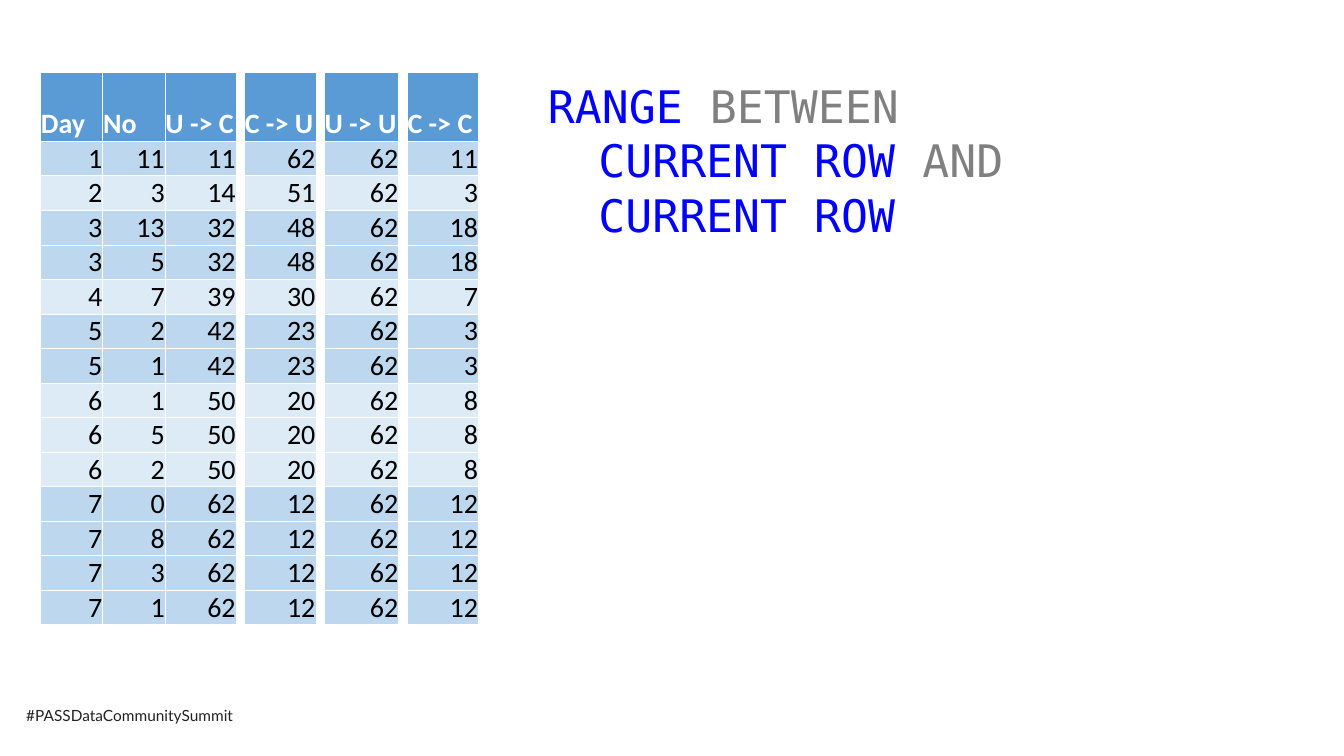
"""Build a slide comparing running totals for the RANGE window frames."""

from dataclasses import dataclass

from pptx import Presentation
from pptx import util as u
from pptx.dml.color import RGBColor
from pptx.enum import text
from pptx.oxml import parse_xml
from pptx.oxml.ns import nsdecls


@dataclass(frozen=True)
class Theme:
    header: str = "5B9BD5"
    odd_day: str = "BDD7EE"
    even_day: str = "DDEBF7"
    white: str = "FFFFFF"
    black: str = "000000"
    keyword: str = "0000FF"
    operator: str = "808080"
    hashtag: str = "222222"
    table_font: str = "Calibri"
    code_font: str = "DejaVu Sans Mono"
    hashtag_font: str = "Lato"
    table_size: int = 20
    code_size: int = 32
    code_line: int = 39
    hashtag_size: int = 11


@dataclass(frozen=True)
class Column:
    title: str
    width: float
    values: list[int]


@dataclass(frozen=True)
class Style:
    font: str
    size: int
    color: str
    bold: bool = False


THEME = Theme()
LEFT, TOP, GAP = 1.02, 1.83, 0.21
HEADER_HEIGHT, ROW_HEIGHT = 1.73, 0.87
CELL_MARGIN = 0.01

DAYS = [1, 2, 3, 3, 4, 5, 5, 6, 6, 6, 7, 7, 7, 7]
NUMBERS = [11, 3, 13, 5, 7, 2, 1, 1, 5, 2, 0, 8, 3, 1]

CODE_LINES = [
    [("RANGE ", THEME.keyword), ("BETWEEN", THEME.operator)],
    [("\t", THEME.black), ("CURRENT ROW ", THEME.keyword), ("AND", THEME.operator)],
    [("\t", THEME.black), ("CURRENT ROW", THEME.keyword)],
]


def range_sums(from_start: bool, to_end: bool) -> list[int]:
    """Sum the numbers over each row's frame, treating equal days as peers."""
    return [
        sum(
            number
            for day, number in zip(DAYS, NUMBERS)
            if (from_start or day >= current) and (to_end or day <= current)
        )
        for current in DAYS
    ]


PANELS = [
    [
        Column("Day", 1.57, DAYS),
        Column("No", 1.57, NUMBERS),
        Column("U -> C", 1.79, range_sums(True, False)),
    ],
    [Column("C -> U", 1.8, range_sums(False, True))],
    [Column("U -> U", 1.88, range_sums(True, True))],
    [Column("C -> C", 1.8, range_sums(False, False))],
]


def add_run(paragraph, words: str, style: Style) -> None:
    """Append one styled run to a paragraph."""
    run = paragraph.add_run()
    run.text = words
    run.font.name = style.font
    run.font.size = u.Pt(style.size)
    run.font.bold = style.bold
    run.font.color.rgb = RGBColor.from_string(style.color)


def fill_cell(cell, words: str, fill: str, style: Style, align: text.PP_ALIGN) -> None:
    """Give a cell its white borders, fill and text."""
    properties = cell._tc.get_or_add_tcPr()
    for side in "LRTB":
        properties.append(parse_xml(
            f'<a:ln{side} {nsdecls("a")} w="6350"><a:solidFill>'
            f'<a:srgbClr val="{THEME.white}"/></a:solidFill></a:ln{side}>'
        ))
    cell.fill.solid()
    cell.fill.fore_color.rgb = RGBColor.from_string(fill)
    cell.margin_left = cell.margin_right = cell.margin_top = u.Cm(CELL_MARGIN)
    cell.margin_bottom = 0
    cell.vertical_anchor = text.MSO_ANCHOR.BOTTOM
    paragraph = cell.text_frame.paragraphs[0]
    paragraph.alignment = align
    add_run(paragraph, words, style)


def add_panel(slide, left: float, columns: list[Column]) -> float:
    """Draw one table and return its right edge in centimetres."""
    width = sum(column.width for column in columns)
    height = HEADER_HEIGHT + ROW_HEIGHT * len(DAYS)
    panel = slide.shapes.add_table(
        len(DAYS) + 1, len(columns), u.Cm(left), u.Cm(TOP), u.Cm(width), u.Cm(height)
    ).table
    panel.horz_banding = False
    for index, row in enumerate(panel.rows):
        row.height = u.Cm(ROW_HEIGHT if index else HEADER_HEIGHT)
    title_style = Style(THEME.table_font, THEME.table_size, THEME.white, True)
    value_style = Style(THEME.table_font, THEME.table_size, THEME.black)
    for index, column in enumerate(columns):
        panel.columns[index].width = u.Cm(column.width)
        fill_cell(panel.cell(0, index), column.title, THEME.header, title_style,
                  text.PP_ALIGN.LEFT)
        for row, (day, value) in enumerate(zip(DAYS, column.values), start=1):
            shade = THEME.odd_day if day % 2 else THEME.even_day
            fill_cell(panel.cell(row, index), str(value), shade, value_style,
                      text.PP_ALIGN.RIGHT)
    return left + width


def add_code(slide) -> None:
    """Write the frame clause beside the tables."""
    frame = slide.shapes.add_textbox(
        u.Cm(13.56), u.Cm(TOP), u.Cm(17.6), u.Cm(4.37)
    ).text_frame
    frame.word_wrap = True
    for index, line in enumerate(CODE_LINES):
        paragraph = frame.add_paragraph() if index else frame.paragraphs[0]
        paragraph.line_spacing = u.Pt(THEME.code_line)
        for words, color in line:
            add_run(paragraph, words, Style(THEME.code_font, THEME.code_size, color))


def add_hashtag(slide) -> None:
    """Write the conference hashtag at the foot of the slide."""
    frame = slide.shapes.add_textbox(
        u.Cm(0.41), u.Cm(17.68), u.Cm(5.94), u.Cm(0.74)
    ).text_frame
    frame.word_wrap = False
    add_run(frame.paragraphs[0], "#PASSDataCommunitySummit",
            Style(THEME.hashtag_font, THEME.hashtag_size, THEME.hashtag))


def main() -> None:
    """Build and save the presentation."""
    deck = Presentation()
    deck.slide_width, deck.slide_height = u.Cm(33.87), u.Cm(19.05)
    slide = deck.slides.add_slide(deck.slide_layouts[6])
    add_hashtag(slide)
    left = LEFT
    for columns in PANELS:
        left = add_panel(slide, left, columns) + GAP
    add_code(slide)
    deck.save("out.pptx")


if __name__ == "__main__":
    main()
